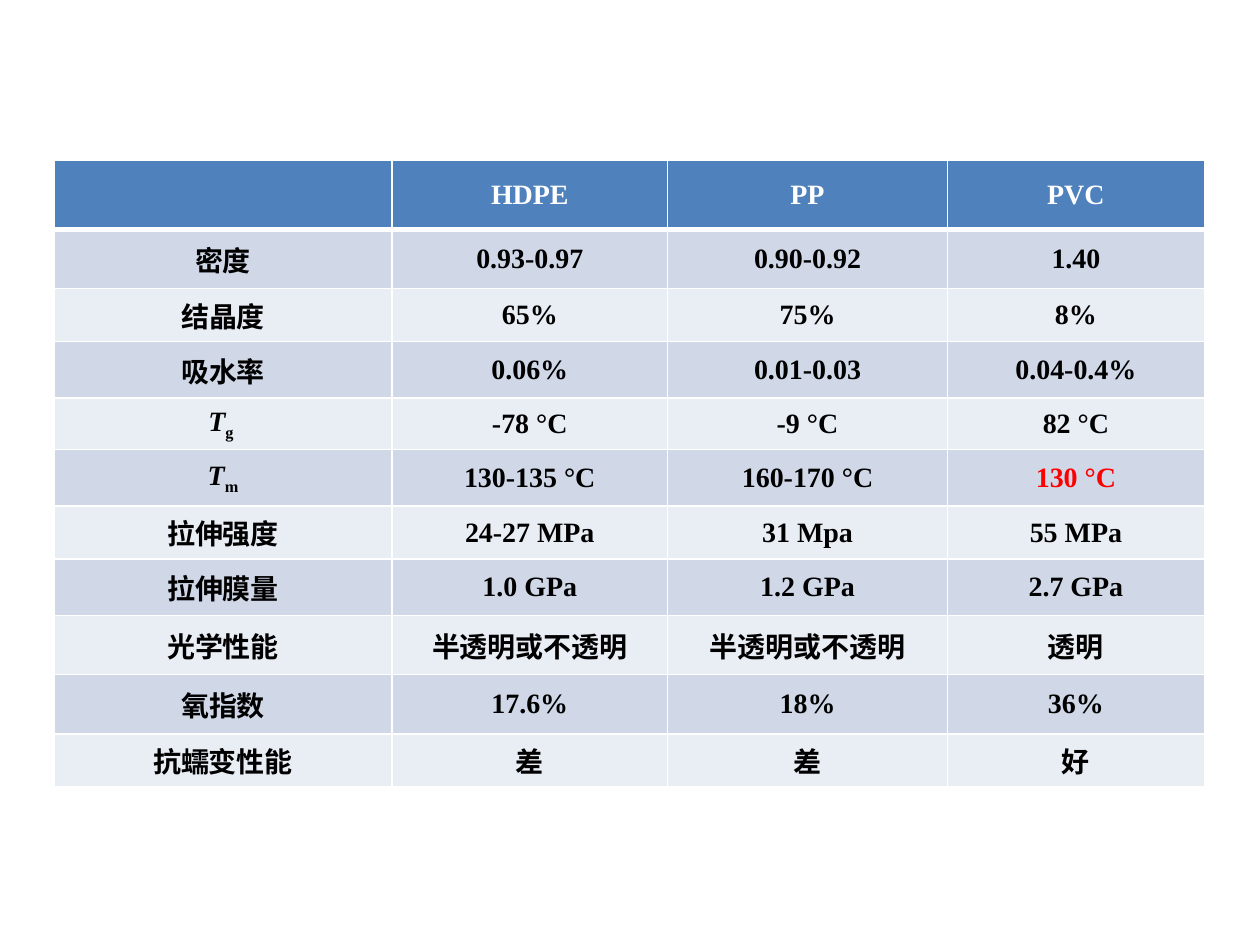
import dataclasses

import lxml.etree
import pptx
import pptx.dml.color
import pptx.enum.text
import pptx.oxml.ns
import pptx.util

Cm = pptx.util.Cm
COLORS = {"header": "4F81BD", "odd": "D0D8E8", "even": "E9EDF4",
          "white": "FFFFFF", "black": "000000", "alert": "FF0000"}
FONT = {"name": "Times New Roman", "size": pptx.util.Pt(16), "bold": True}
COL_WIDTHS = (6.81, 5.56, 5.64, 5.18)
ROW_HEIGHTS = (1.4, 1.19, 1.04, 1.14, 1.04, 1.14, 1.04, 1.14, 1.19, 1.19, 0.99)


@dataclasses.dataclass
class Entry:
    text: str
    sub: str = ""
    color: str = "black"


ROWS = (
    ("", "HDPE", "PP", "PVC"),
    ("密度", "0.93-0.97", "0.90-0.92", "1.40"),
    ("结晶度", "65%", "75%", "8%"),
    ("吸水率", "0.06%", "0.01-0.03", "0.04-0.4%"),
    (Entry("T", "g "), "-78 °C", "-9 °C", "82 °C"),
    (Entry("T", "m"), "130-135 °C", "160-170 °C", Entry("130 °C", color="alert")),
    ("拉伸强度", "24-27 MPa", "31 Mpa", "55 MPa"),
    ("拉伸膜量", "1.0 GPa", "1.2 GPa", "2.7 GPa"),
    ("光学性能", "半透明或不透明", "半透明或不透明", "透明"),
    ("氧指数", "17.6%", "18%", "36%"),
    ("抗蠕变性能", "差", "差", "好"),
)


def rgb(key: str) -> pptx.dml.color.RGBColor:
    return pptx.dml.color.RGBColor.from_string(COLORS[key])


def add_run(p, text: str, color: str, italic: bool = False):
    r = p.add_run()
    r.text = text
    for name, value in {**FONT, "italic": italic}.items():
        setattr(r.font, name, value)
    r.font.color.rgb = rgb(color)
    return r


def set_borders(cell, widths: dict[str, float]) -> None:
    qn = pptx.oxml.ns.qn
    props = cell._tc.get_or_add_tcPr()
    for i, (side, width) in enumerate(widths.items()):
        ln = lxml.etree.Element(qn(f"a:ln{side}"), w=str(pptx.util.Pt(width)))
        fill = lxml.etree.SubElement(ln, qn("a:solidFill"))
        lxml.etree.SubElement(fill, qn("a:srgbClr"), val=COLORS["white"])
        props.insert(i, ln)


def fill_cell(cell, entry: Entry, fill: str, widths: dict[str, float]) -> None:
    cell.fill.solid()
    cell.fill.fore_color.rgb = rgb(fill)
    cell.vertical_anchor = pptx.enum.text.MSO_ANCHOR.MIDDLE
    set_borders(cell, widths)
    p = cell.text_frame.paragraphs[0]
    p.alignment = pptx.enum.text.PP_ALIGN.CENTER
    if entry.text:
        add_run(p, entry.text, entry.color, bool(entry.sub))
    if entry.sub:
        r = add_run(p, entry.sub, entry.color)
        r._r.get_or_add_rPr().set("baseline", "-25000")


def add_property_table(s) -> None:
    table = s.shapes.add_table(len(ROWS), len(COL_WIDTHS), Cm(1.09), Cm(3.23),
                               Cm(sum(COL_WIDTHS)), Cm(sum(ROW_HEIGHTS))).table
    for col, width in zip(table.columns, COL_WIDTHS):
        col.width = Cm(width)
    for i, (row, height, values) in enumerate(zip(table.rows, ROW_HEIGHTS, ROWS)):
        row.height = Cm(height)
        fill = "header" if i == 0 else "odd" if i % 2 else "even"
        color = "white" if i == 0 else "black"
        widths = {"L": 1, "R": 1, "T": 3 if i == 1 else 1, "B": 3 if i == 0 else 1}
        for cell, value in zip(row.cells, values):
            entry = value if isinstance(value, Entry) else Entry(value, color=color)
            fill_cell(cell, entry, fill, widths)


def main() -> None:
    """Build the slide comparing the properties of three plastics."""
    prs = pptx.Presentation()
    prs.slide_width, prs.slide_height = Cm(25.4), Cm(19.05)
    s = prs.slides.add_slide(prs.slide_layouts[6])
    add_property_table(s)
    prs.save("out.pptx")


if __name__ == "__main__":
    main()
